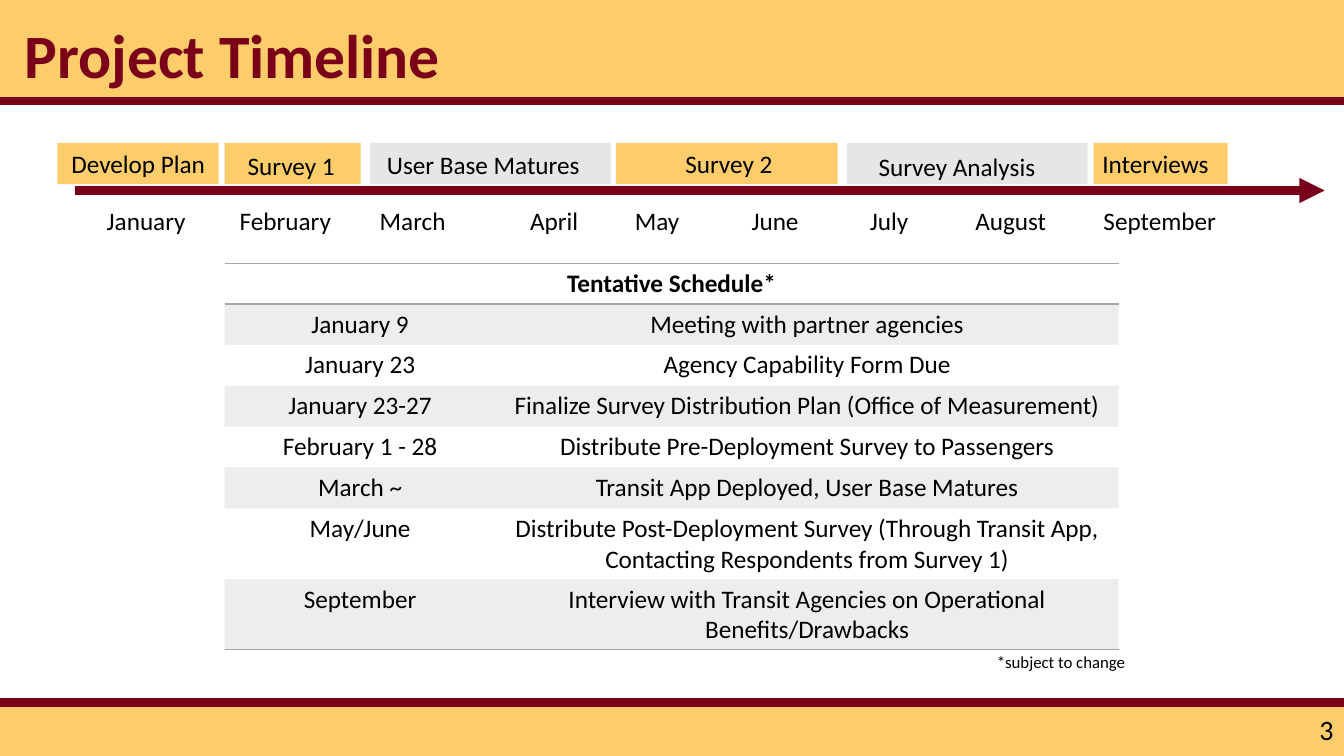
from lxml.etree import SubElement
from pptx import Presentation
from pptx.dml.color import RGBColor
from pptx.enum.shapes import MSO_CONNECTOR, MSO_SHAPE
from pptx.enum.text import MSO_ANCHOR, MSO_AUTO_SIZE, PP_ALIGN
from pptx.oxml import parse_xml
from pptx.oxml.ns import nsdecls, qn
from pptx.util import Cm, Pt

GOLD, MAROON, PALE, GREY, BLACK = "FDCC6B", "7A0019", "E7E6E6", "A5A5A5", "000000"
WIDE, HIGH = 33.87, 19.05
PLAIN_GRID = "{2D5ABB26-0587-4C30-8999-92F81FD0307C}"

PHASES = [
    ("Develop Plan", GOLD, 1.45, 4.06, 1.55, 3.61, 3.91),
    ("Survey 1", GOLD, 5.66, 3.43, 5.99, 3.66, 2.74),
    ("User Base Matures", PALE, 9.32, 6.07, 9.5, 3.63, 5.84),
    ("Survey 2", GOLD, 15.52, 5.59, 17.02, 3.61, 2.74),
    ("Survey Analysis", PALE, 21.34, 6.07, 21.89, 3.68, 4.85),
    ("Interviews", GOLD, 27.56, 3.38, 27.53, 3.61, 3.23),
]
MONTHS = [
    ("January", 2.44, 2.85), ("February", 5.79, 2.9), ("March", 9.32, 2.25),
    ("April", 13.11, 1.8), ("May", 15.75, 1.7), ("June", 18.69, 1.8),
    ("July", 21.67, 1.8), ("August", 24.33, 2.5), ("September", 27.56, 3.4),
]
DATES = [
    ("Tentative Schedule*", ""),
    ("January 9", "Meeting with partner agencies"),
    ("January 23", "Agency Capability Form Due"),
    ("January 23-27", "Finalize Survey Distribution Plan (Office of Measurement)"),
    ("February 1 - 28", "Distribute Pre-Deployment Survey to Passengers"),
    ("March ~", "Transit App Deployed, User Base Matures"),
    ("May/June", "Distribute Post-Deployment Survey (Through Transit App, "
                 "Contacting Respondents from Survey 1)"),
    ("September", "Interview with Transit Agencies on Operational Benefits/Drawbacks"),
]


def tint(color, value):
    color.rgb = RGBColor.from_string(value)


class Board:
    """Hold the text style and the current slide, and draw its elements."""

    def __init__(self, slide):
        self.slide = slide
        self.shapes = slide.shapes
        self.style = {"name": "Calibri", "size": Pt(18), "bold": False}

    def letter(self, frame, text, color=BLACK, align=PP_ALIGN.LEFT, **extra):
        para = frame.paragraphs[0]
        para.alignment = align
        run = para.add_run()
        run.text = text
        for key, value in {**self.style, **extra}.items():
            setattr(run.font, key, value)
        tint(run.font.color, color)

    def title(self, text, left, top, width, height):
        head = self.shapes.title
        place = {"left": left, "top": top, "width": width, "height": height}
        for key, value in place.items():
            setattr(head, key, Cm(value))
        frame = head.text_frame
        setup = {"vertical_anchor": MSO_ANCHOR.TOP, "auto_size": MSO_AUTO_SIZE.NONE}
        for key, value in setup.items():
            setattr(frame, key, value)
        self.letter(frame, text, MAROON, size=Pt(44), bold=True)
        frame.paragraphs[0].line_spacing = 0.9
        head._element.getparent().append(head._element)

    def bar(self, left, top, width, height, color):
        box = self.shapes.add_shape(
            MSO_SHAPE.RECTANGLE, Cm(left), Cm(top), Cm(width), Cm(height))
        box.shadow.inherit = False
        box.fill.solid()
        tint(box.fill.fore_color, color)
        box.line.fill.background()

    def label(self, text, left, top, width, height=1.02, wrap=True,
              anchor=MSO_ANCHOR.TOP, **extra):
        box = self.shapes.add_textbox(Cm(left), Cm(top), Cm(width), Cm(height))
        frame = box.text_frame
        for key, value in {"word_wrap": wrap, "vertical_anchor": anchor}.items():
            setattr(frame, key, value)
        self.letter(frame, text, **extra)

    def rule(self, left, right, top, arrow=False):
        line = self.shapes.add_connector(
            MSO_CONNECTOR.STRAIGHT, Cm(left), Cm(top), Cm(right), Cm(top))
        line.line.width = Pt(6)
        tint(line.line.color, MAROON)
        if arrow:
            SubElement(line.line._ln, qn("a:tailEnd"), type="triangle")
        SubElement(line._element.spPr, qn("a:effectLst"))

    def edge(self, cell, side):
        cell._tc.get_or_add_tcPr().insert(0, parse_xml(
            f'<a:{side} {nsdecls("a")} w="12700"><a:solidFill>'
            f'<a:srgbClr val="{GREY}"/></a:solidFill></a:{side}>'))

    def grid(self, rows, left, top, widths, heights):
        table = self.shapes.add_table(
            len(rows), len(widths), Cm(left), Cm(top),
            Cm(sum(widths)), Cm(sum(heights))).table
        table.first_row = table.horz_banding = False
        table._tbl.tblPr[0].text = PLAIN_GRID
        for col, width in zip(table.columns, widths):
            col.width = Cm(width)
        table.cell(0, 0).merge(table.cell(0, len(widths) - 1))
        for i, texts in enumerate(rows):
            table.rows[i].height = Cm(heights[i])
            for j, text in enumerate(texts):
                cell = table.cell(i, j)
                if i % 2:
                    cell.fill.solid()
                    tint(cell.fill.fore_color, GREY)
                    shade = cell._tc.tcPr.find(".//" + qn("a:srgbClr"))
                    SubElement(shade, qn("a:alpha"), val="20000")
                else:
                    cell.fill.background()
                if i in (0, len(rows) - 1):
                    self.edge(cell, "lnB")
                if i == 0:
                    self.edge(cell, "lnT")
                if text:
                    self.letter(cell.text_frame, text, align=PP_ALIGN.CENTER, bold=i == 0)


def main():
    deck = Presentation()
    deck.slide_width, deck.slide_height = Cm(WIDE), Cm(HIGH)
    board = Board(deck.slides.add_slide(deck.slide_layouts[5]))
    board.bar(0, 0, WIDE, 2.54, GOLD)
    board.bar(0, 17.7, WIDE, 1.35, GOLD)
    board.title("Project Timeline", 0.36, 0.51, 29.26, 2.03)
    board.label("3", 26.24, 17.7, 7.62, 1.35, anchor=MSO_ANCHOR.MIDDLE,
                align=PP_ALIGN.RIGHT, size=Pt(20))
    for top in (17.7, 2.54):
        board.rule(0, WIDE, top)
    board.rule(1.9, 33.38, 4.8, arrow=True)
    for text, color, left, width, start, top, span in PHASES:
        board.bar(left, 3.6, width, 1.04, color)
        board.label(text, start, top, span)
    for text, left, width in MONTHS:
        board.label(text, left, 5.04, width)
    board.grid(DATES, 5.66, 6.63, [6.83, 15.7], [1.03] * 6 + [1.78] * 2)
    board.label("*subject to change", 24.87, 16.31, 3.78, 0.76,
                wrap=False, size=Pt(12))
    deck.save("out.pptx")


if __name__ == "__main__":
    main()
